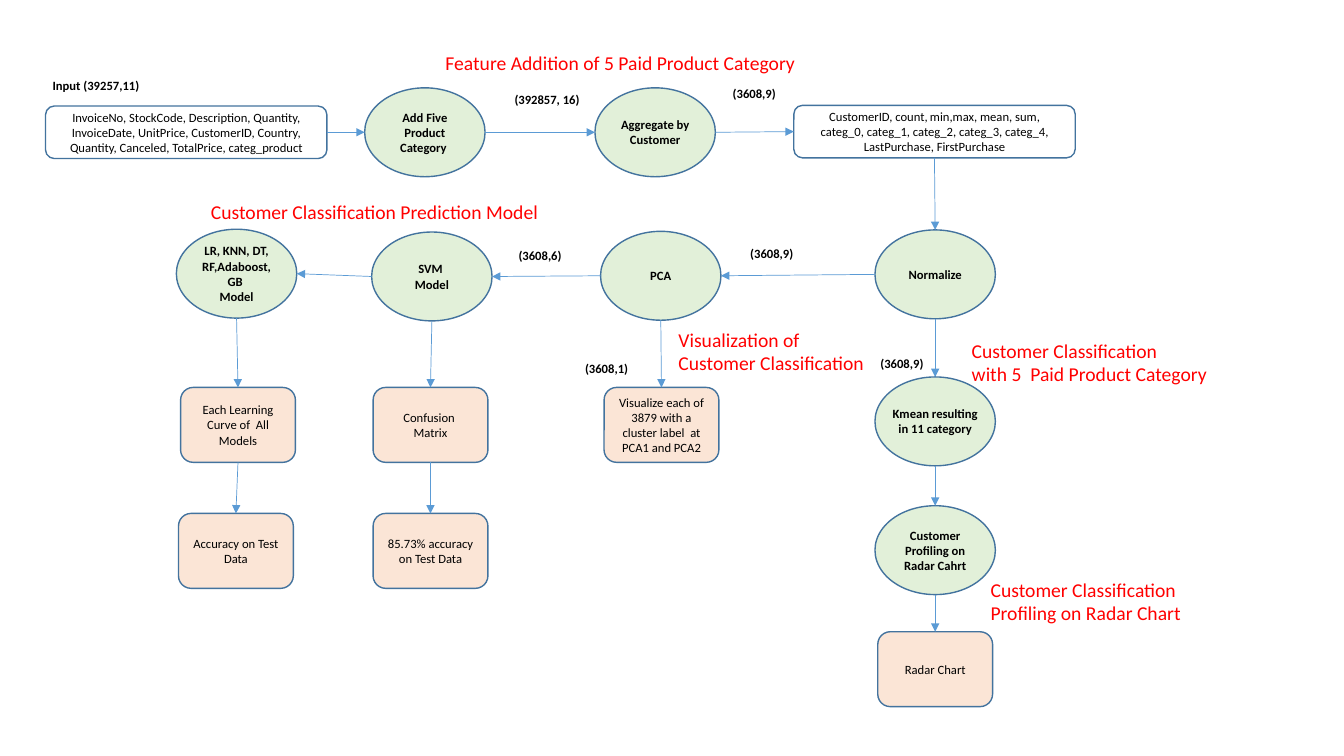
from dataclasses import dataclass

import lxml.etree
import pptx
import pptx.dml.color
import pptx.enum.shapes
import pptx.enum.text
import pptx.oxml.ns
import pptx.shapes.autoshape
import pptx.slide
import pptx.text.text
import pptx.util

Pt = pptx.util.Pt
RGBColor = pptx.dml.color.RGBColor
Shapes = pptx.enum.shapes.MSO_SHAPE
Align = pptx.enum.text.PP_ALIGN
Anchor = pptx.enum.text.MSO_ANCHOR

BLACK = RGBColor(0x00, 0x00, 0x00)
RED = RGBColor(0xFF, 0x00, 0x00)
GREEN = RGBColor(0xE2, 0xF0, 0xD9)
PEACH = RGBColor(0xFB, 0xE5, 0xD6)
OUTLINE = RGBColor(0x43, 0x73, 0x9E)
ARROW = RGBColor(0x5B, 0x9B, 0xD5)
FONT = "Calibri"


@dataclass(frozen=True)
class Style:
    """Look shared by all nodes of one kind."""
    form: Shapes
    width: float
    height: float
    fill: RGBColor | None
    bold: bool
    side_inset: float


@dataclass(frozen=True)
class Node:
    """A step of the flow, placed by its centre."""
    style: Style
    x: float
    y: float
    text: str


@dataclass(frozen=True)
class Caption:
    """Free text, placed by its top left corner."""
    text: str
    left: float
    top: float
    width: float
    height: float


STEP = Style(Shapes.OVAL, 86, 63.5, GREEN, True, 0)
RESULT = Style(Shapes.ROUNDED_RECTANGLE, 82, 53.5, PEACH, False, 7.2)
FIELDS = Style(Shapes.ROUNDED_RECTANGLE, 201, 37.5, None, False, 7.2)

NODES = {
    "input": Node(FIELDS, 133, 94.5, "InvoiceNo, StockCode, Description, Quantity, InvoiceDate, "
                  "UnitPrice, CustomerID, Country, Quantity, Canceled, TotalPrice, categ_product"),
    "add": Node(STEP, 303.5, 94.5, "Add Five Product Category "),
    "aggregate": Node(STEP, 468, 94.5, "Aggregate by Customer"),
    "customer": Node(FIELDS, 667.5, 94, "CustomerID, count,\tmin,max, mean, sum, categ_0, categ_1, "
                     "categ_2, categ_3, categ_4, LastPurchase, FirstPurchase"),
    "normalize": Node(STEP, 668, 196, "Normalize"),
    "pca": Node(STEP, 472, 197, "PCA"),
    "svm": Node(STEP, 308.5, 197.5, "SVM \nModel"),
    "models": Node(STEP, 169, 195.5, "LR, KNN, DT, RF,Adaboost, GB \nModel"),
    "kmean": Node(STEP, 668, 301, "Kmean resulting in 11 category"),
    "profile": Node(STEP, 668, 393, "Customer Profiling on Radar Cahrt"),
    "radar": Node(RESULT, 668, 478, "Radar Chart"),
    "visualize": Node(RESULT, 472.5, 303.5,
                      "Visualize each of 3879 with a cluster label  at PCA1 and PCA2"),
    "confusion": Node(RESULT, 307.5, 303.5, "Confusion \vMatrix"),
    "svm accuracy": Node(RESULT, 307.5, 393.5, "85.73% accuracy on Test Data"),
    "curves": Node(RESULT, 170, 303.5, "Each Learning\nCurve of  All Models"),
    "accuracy": Node(RESULT, 168.5, 393.5, "Accuracy on Test Data"),
}

FLOWS = (
    ("input", "add", "aggregate", "customer", "normalize", "pca", "svm", "models"),
    ("normalize", "kmean", "profile", "radar"),
    ("pca", "visualize"),
    ("svm", "confusion", "svm accuracy"),
    ("models", "curves", "accuracy"),
)

TITLE = Caption("Feature Addition of 5 Paid Product Category", 311, 32.5, 291.5, 24.5)
HEADINGS = (
    Caption("Customer Classification Prediction Model", 143.5, 139.5, 291.5, 24.5),
    Caption("Visualization of \nCustomer Classification", 477.5, 230.5, 148.5, 41),
    Caption("Customer Classification \nwith 5  Paid Product Category", 687, 238.5, 187, 41),
    Caption("Customer Classification \nProfiling on Radar Chart", 700.5, 409, 152, 41),
)
SIZES = (
    Caption("Input (39257,11)", 11, 52, 115, 18),
    Caption("(392857, 16)", 355.5, 62, 70.5, 18),
    Caption("(3608,9)", 503.5, 57.5, 70.5, 18),
    Caption("(3608,9)", 516, 172, 70.5, 18),
    Caption("(3608,6)", 350.5, 173.5, 70.5, 18),
    Caption("(3608,9)", 609, 250.5, 70.5, 18),
    Caption("(3608,1)", 398, 254, 70.5, 18),
)


def write(frame: pptx.text.text.TextFrame, text: str, *, size: float = 9,
          color: RGBColor = BLACK, bold: bool = False, align: Align = Align.CENTER,
          anchor: Anchor = Anchor.TOP, wrap: bool = True, side_inset: float = 7.2) -> None:
    """Fill a text frame, one paragraph a line, in one format."""
    frame.auto_size = pptx.enum.text.MSO_AUTO_SIZE.NONE
    frame.word_wrap = wrap
    frame.vertical_anchor = anchor
    frame.margin_left = frame.margin_right = Pt(side_inset)
    frame.margin_top = frame.margin_bottom = Pt(3.6)
    for index, line in enumerate(text.split("\n")):
        para = frame.add_paragraph() if index else frame.paragraphs[0]
        para.text = line
        para.alignment = align
        para.line_spacing = 1.0
        para.space_before = Pt(0)
        for span in para.runs:
            span.font.name = FONT
            span.font.size = Pt(size)
            span.font.bold = bold
            span.font.color.rgb = color


def bounds(caption: Caption) -> tuple[int, int, int, int]:
    """Return the left, top, width and height of a caption."""
    return Pt(caption.left), Pt(caption.top), Pt(caption.width), Pt(caption.height)


def write_heading(box: pptx.shapes.autoshape.Shape, caption: Caption) -> None:
    """Write a red section heading into a box."""
    write(box.text_frame, caption.text, size=14, color=RED, align=Align.LEFT, wrap=False)


def draw_node(page: pptx.slide.Slide, node: Node) -> None:
    """Draw one step of the flow."""
    style = node.style
    box = page.shapes.add_shape(style.form, Pt(node.x - style.width / 2),
                                Pt(node.y - style.height / 2), Pt(style.width), Pt(style.height))
    box.shadow.inherit = False
    if style.fill is None:
        box.fill.background()
    else:
        box.fill.solid()
        box.fill.fore_color.rgb = style.fill
    box.line.color.rgb = OUTLINE
    box.line.width = Pt(1)
    write(box.text_frame, node.text, bold=style.bold, anchor=Anchor.MIDDLE,
          side_inset=style.side_inset)


def edge(node: Node, toward: Node) -> tuple[int, int]:
    """Return the middle of the side of a node that faces another node."""
    across, down = toward.x - node.x, toward.y - node.y
    if abs(across) > abs(down):
        return Pt(node.x + (node.style.width / 2 if across > 0 else -node.style.width / 2)), Pt(node.y)
    return Pt(node.x), Pt(node.y + (node.style.height / 2 if down > 0 else -node.style.height / 2))


def draw_arrow(page: pptx.slide.Slide, start: Node, end: Node) -> None:
    """Draw a straight arrow between the facing sides of two nodes."""
    arrow = page.shapes.add_connector(pptx.enum.shapes.MSO_CONNECTOR.STRAIGHT,
                                      *edge(start, end), *edge(end, start))
    arrow.line.color.rgb = ARROW
    arrow.line.width = Pt(0.5)
    qn = pptx.oxml.ns.qn
    lxml.etree.SubElement(arrow.line._get_or_add_ln(), qn("a:tailEnd"), type="triangle")
    lxml.etree.SubElement(arrow._element.spPr, qn("a:effectLst"))


deck = pptx.Presentation()
deck.slide_width, deck.slide_height = Pt(960), Pt(540)
page = deck.slides.add_slide(deck.slide_layouts.get_by_name("Title Only"))

title = page.shapes.title
title.left, title.top, title.width, title.height = bounds(TITLE)
write_heading(title, TITLE)

for step in NODES.values():
    draw_node(page, step)
for flow in FLOWS:
    for source, target in zip(flow, flow[1:]):
        draw_arrow(page, NODES[source], NODES[target])
for heading in HEADINGS:
    write_heading(page.shapes.add_textbox(*bounds(heading)), heading)
for label in SIZES:
    write(page.shapes.add_textbox(*bounds(label)).text_frame, label.text, bold=True)

deck.save("out.pptx")
